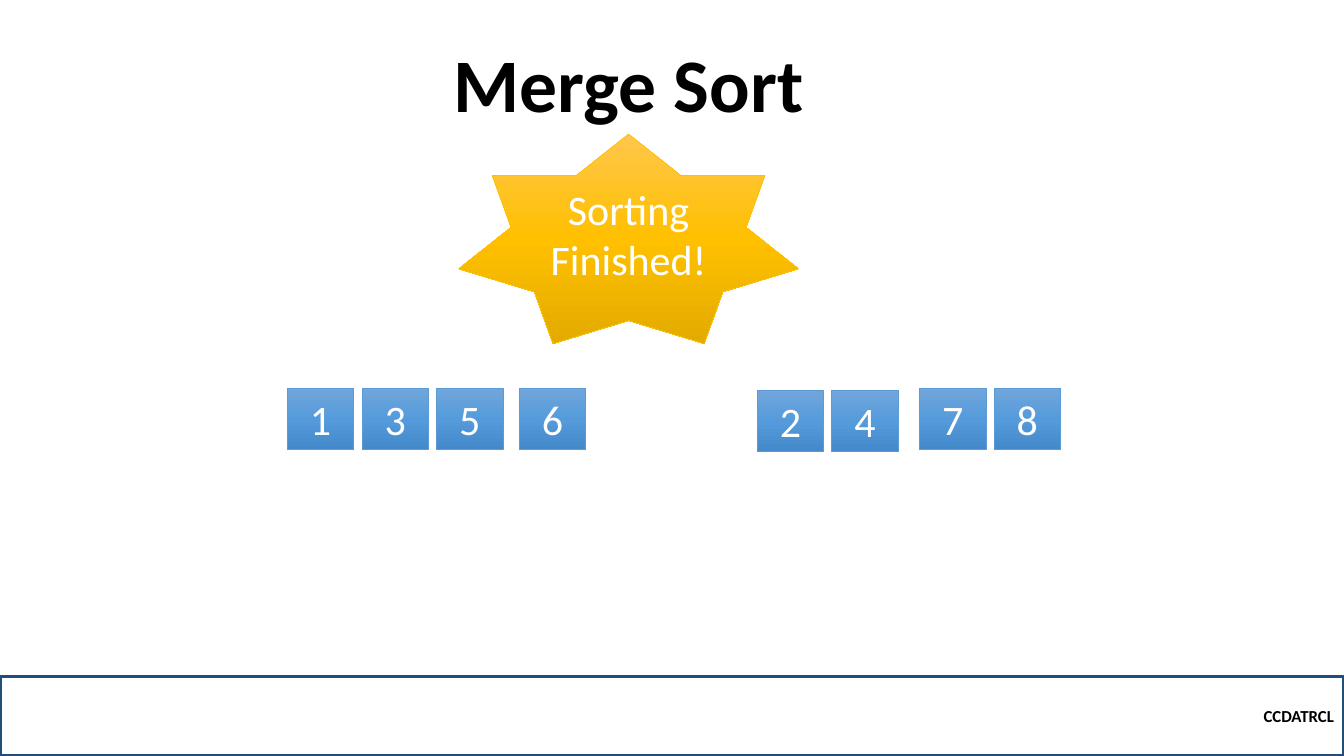
from copy import deepcopy

from pptx import Presentation
from pptx.dml.color import RGBColor
from pptx.enum.shapes import MSO_SHAPE
from pptx.enum.text import MSO_ANCHOR, PP_ALIGN
from pptx.oxml.ns import qn
from pptx.util import Inches, Pt

RECT, STAR = MSO_SHAPE.RECTANGLE, MSO_SHAPE.STAR_7_POINT
MIDDLE, BOTTOM = MSO_ANCHOR.MIDDLE, MSO_ANCHOR.BOTTOM
CENTER, RIGHT = PP_ALIGN.CENTER, PP_ALIGN.RIGHT

WIDE, HIGH = 13.33, 7.5
BLUES = ("71A6DB", "559BDB", "448ACA")
GOLDS = ("FFC64B", "FFC000", "E3AB00")


def color(code):
    return RGBColor.from_string(code)


def write(shape, text, size=30, ink="FFFFFF", bold=False,
          align=CENTER, anchor=MIDDLE, spacing=1.0):
    frame = shape.text_frame
    frame.word_wrap = True
    frame.vertical_anchor = anchor
    para = frame.paragraphs[0]
    para.alignment = align
    para.line_spacing = spacing
    run = para.add_run()
    run.text = text
    run.font.name = "Calibri"
    run.font.size = Pt(size)
    run.font.bold = bold
    run.font.color.rgb = color(ink)


def outline(slide, kind, box, line, weight):
    shape = slide.shapes.add_shape(kind, *map(Inches, box))
    shape.shadow.inherit = False
    shape.line.color.rgb = color(line)
    shape.line.width = Pt(weight)
    return shape


def shade(shape, tones):
    """Fill from top to bottom with three evenly spaced tones."""
    fill = shape.fill
    fill.gradient()
    fill.gradient_angle = 270
    stops = shape._element.find(".//" + qn("a:gsLst"))
    stops.insert(1, deepcopy(stops[0]))
    for i, (stop, tone) in enumerate(zip(fill.gradient_stops, tones)):
        stop.position = i / 2
        stop.color.rgb = color(tone)


def title(slide, box):
    shape = slide.shapes.add_textbox(*map(Inches, box))
    write(shape, "Merge Sort", size=54, ink="000000", bold=True,
          anchor=BOTTOM, spacing=0.9)


def footer(slide, box):
    shape = outline(slide, RECT, box, "1F4E79", 2.25)
    shape.fill.background()
    write(shape, "CCDATRCL", size=12, ink="000000", bold=True, align=RIGHT)


def cells(slide, left, top, values):
    """Place a run of number cells at an even pitch."""
    for i, value in enumerate(values):
        box = (left + i * 0.74, top, 0.66, 0.61)
        shape = outline(slide, RECT, box, "5B9BD5", 0.5)
        shade(shape, BLUES)
        write(shape, str(value))


def banner(slide, box):
    shape = outline(slide, STAR, box, "FFC000", 0.5)
    shade(shape, GOLDS)
    write(shape, "Sorting Finished!")


def main():
    deck = Presentation()
    deck.slide_width, deck.slide_height = Inches(WIDE), Inches(HIGH)
    slide = deck.slides.add_slide(deck.slide_layouts[6])

    title(slide, (0.8, 0.54, 10.87, 0.79))
    footer(slide, (0, 6.71, WIDE, 0.79))

    # Left half of the list
    cells(slide, 2.85, 3.85, (1, 3, 5))
    cells(slide, 5.15, 3.85, (6,))

    # Right half of the list
    cells(slide, 7.51, 3.87, (2, 4))
    cells(slide, 9.12, 3.85, (7, 8))

    banner(slide, (4.55, 1.33, 3.37, 2.08))
    deck.save("out.pptx")


if __name__ == "__main__":
    main()
